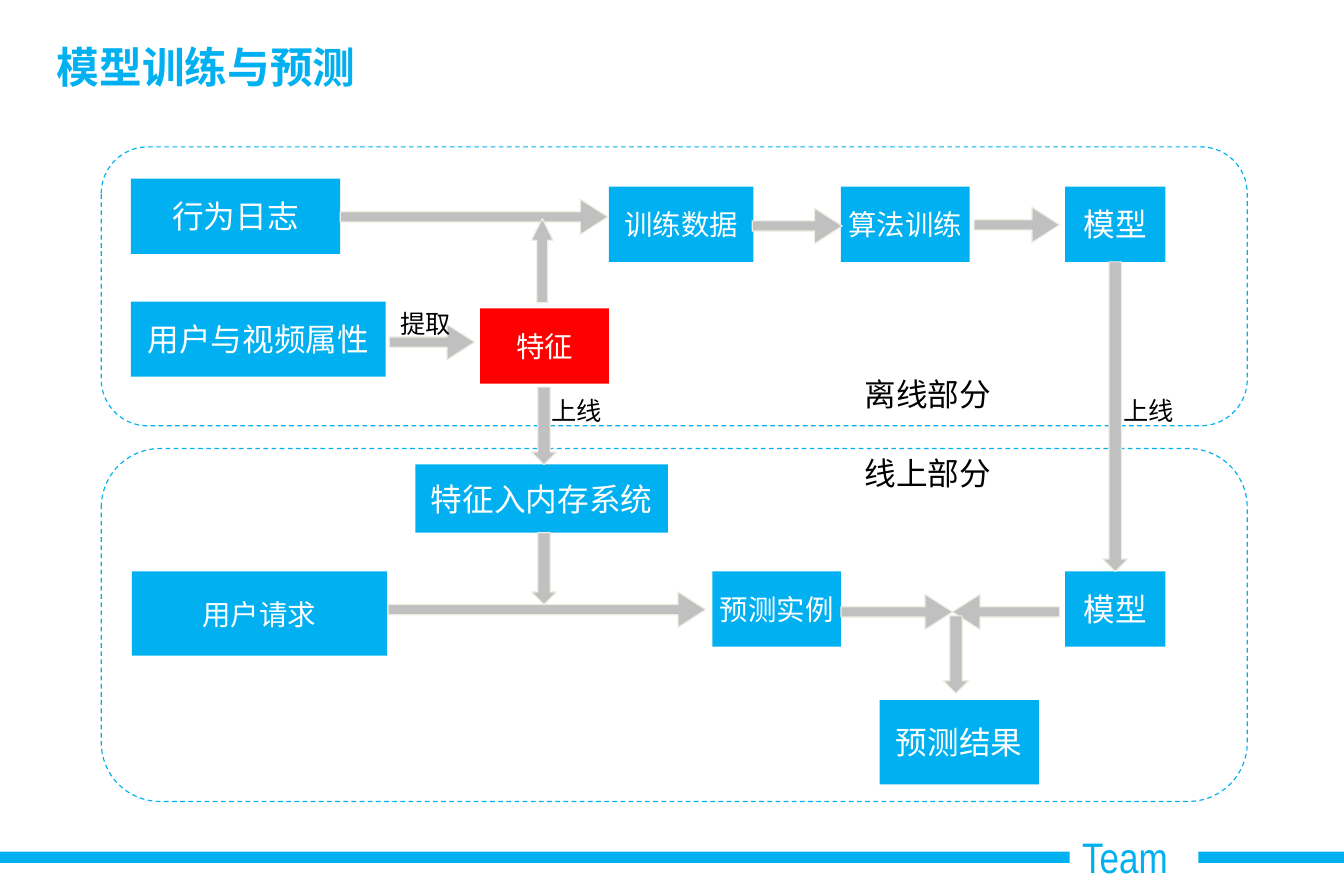
from pptx import Presentation
from pptx.dml.color import RGBColor
from pptx.enum.dml import MSO_LINE
from pptx.enum.shapes import MSO_SHAPE
from pptx.enum.text import MSO_ANCHOR, PP_ALIGN
from pptx.oxml.ns import qn
from pptx.util import Inches, Pt
from lxml import etree

BLUE = RGBColor(0x00, 0xB0, 0xF0)
RED = RGBColor(0xFF, 0x00, 0x00)
GREY = RGBColor(0xC0, 0xC0, 0xC0)
CREAM = RGBColor(0xEE, 0xEC, 0xE1)
WHITE = RGBColor(0xFF, 0xFF, 0xFF)
BLACK = RGBColor(0x00, 0x00, 0x00)
CJK_FONT = "Noto Sans CJK SC"

PANELS = [(3.94, 3.1), (1.29, 2.45)]  # top, height

# text, left, top, width, height, size, fill
BOXES = [
    ("行为日志", 1.15, 1.57, 1.84, 0.66, 20, BLUE),
    ("用户与视频属性", 1.15, 2.65, 2.24, 0.66, 20, BLUE),
    ("特征", 4.22, 2.71, 1.13, 0.66, 18, RED),
    ("训练数据", 5.35, 1.64, 1.27, 0.66, 18, BLUE),
    ("算法训练", 7.39, 1.64, 1.13, 0.66, 18, BLUE),
    ("模型", 9.36, 1.64, 0.88, 0.66, 20, BLUE),
    ("特征入内存系统", 3.65, 4.08, 2.22, 0.6, 20, BLUE),
    ("用户请求", 1.16, 5.02, 2.24, 0.74, 18, BLUE),
    ("预测实例", 6.26, 5.02, 1.13, 0.66, 18, BLUE),
    ("模型", 9.36, 5.02, 0.88, 0.66, 20, BLUE),
    ("预测结果", 7.73, 6.15, 1.4, 0.74, 20, BLUE),
]

# left, top, length
RIGHT_ARROWS = [
    (3.42, 2.85, 0.75),
    (2.99, 1.75, 2.35),
    (6.61, 1.83, 0.79),
    (8.56, 1.82, 0.75),
    (3.41, 5.2, 2.79),
    (7.39, 5.22, 0.98),
]
DOWN_ARROWS = [
    (4.67, 3.4, 0.68),
    (4.67, 4.68, 0.63),
    (9.69, 2.3, 2.72),
    (8.29, 5.41, 0.68),
]

# text, left, top, width, height, size
LABELS = [
    ("离线部分", 7.5, 3.24, 1.47, 0.44, 20),
    ("线上部分", 7.5, 3.94, 1.47, 0.44, 20),
    ("提取", 3.42, 2.66, 0.69, 0.37, 16),
    ("上线", 4.75, 3.42, 0.69, 0.37, 16),
    ("上线", 9.77, 3.42, 0.69, 0.37, 16),
]


def add_shape(s, kind, left, top, width, height, fill, line=None):
    sp = s.shapes.add_shape(kind, Inches(left), Inches(top), Inches(width), Inches(height))
    sp.shadow.inherit = False
    sp.fill.solid()
    sp.fill.fore_color.rgb = fill
    if line is None:
        sp.line.fill.background()
    else:
        sp.line.color.rgb = line
        sp.line.width = Pt(0.75)
    return sp


def write_text(sp, text, size, color, font=CJK_FONT, align=PP_ALIGN.LEFT,
               anchor=MSO_ANCHOR.TOP, wrap=True, bold=False, inset=0.1):
    tf = sp.text_frame
    tf.word_wrap = wrap
    tf.vertical_anchor = anchor
    tf.margin_left = tf.margin_right = Inches(inset)
    tf.margin_top = tf.margin_bottom = Inches(inset / 2)
    p = tf.paragraphs[0]
    p.alignment = align
    r = p.add_run()
    r.text = text
    r.font.size = Pt(size)
    r.font.bold = bold
    r.font.color.rgb = color
    r.font.name = font
    east_asian = etree.SubElement(r.font._element, qn("a:ea"))
    east_asian.set("typeface", CJK_FONT)


def add_text(s, text, left, top, width, height, size, color, **style):
    sp = s.shapes.add_textbox(Inches(left), Inches(top), Inches(width), Inches(height))
    write_text(sp, text, size, color, **style)


def add_panel(s, top, height):
    sp = add_shape(s, MSO_SHAPE.ROUNDED_RECTANGLE, 0.89, top, 10.07, height, WHITE, BLUE)
    sp.line.dash_style = MSO_LINE.DASH


def add_box(s, text, left, top, width, height, size, fill):
    sp = add_shape(s, MSO_SHAPE.RECTANGLE, left, top, width, height, fill)
    write_text(sp, text, size, WHITE, align=PP_ALIGN.CENTER,
               anchor=MSO_ANCHOR.MIDDLE, wrap=False)


def add_arrow(s, kind, left, top, width, height, shaft, head):
    """Shaft width and head length are fractions of the arrow's short side."""
    sp = add_shape(s, kind, left, top, width, height, GREY, CREAM)
    sp.adjustments[0] = shaft
    sp.adjustments[1] = head


def add_footer(s):
    add_shape(s, MSO_SHAPE.RECTANGLE, 0, 7.48, 11.81, 0.1, BLUE)
    sp = add_shape(s, MSO_SHAPE.RECTANGLE, 9.4, 7.24, 1.13, 0.56, WHITE)
    write_text(sp, "Team", 27, BLUE, font="Arial Narrow", wrap=False, inset=0.11)


def main():
    prs = Presentation()
    prs.slide_width, prs.slide_height = Inches(11.81), Inches(7.87)
    s = prs.slides.add_slide(prs.slide_layouts[6])

    add_footer(s)
    add_text(s, "模型训练与预测", 0.39, 0.27, 10.63, 0.62, 27, BLUE,
             anchor=MSO_ANCHOR.MIDDLE, bold=True, inset=0.11)
    for panel in PANELS:
        add_panel(s, *panel)
    for box in BOXES:
        add_box(s, *box)
    for left, top, length in RIGHT_ARROWS:
        add_arrow(s, MSO_SHAPE.RIGHT_ARROW, left, top, length, 0.31, 0.29, 0.78)
    add_arrow(s, MSO_SHAPE.LEFT_ARROW, 8.37, 5.22, 0.94, 0.31, 0.29, 0.78)
    add_arrow(s, MSO_SHAPE.UP_ARROW, 4.67, 1.92, 0.19, 0.74, 0.5, 1)
    for left, top, length in DOWN_ARROWS:
        add_arrow(s, MSO_SHAPE.DOWN_ARROW, left, top, 0.22, length, 0.5, 0.5)
    for label in LABELS:
        add_text(s, *label, BLACK, font="Calibri")

    prs.save("out.pptx")


if __name__ == "__main__":
    main()
